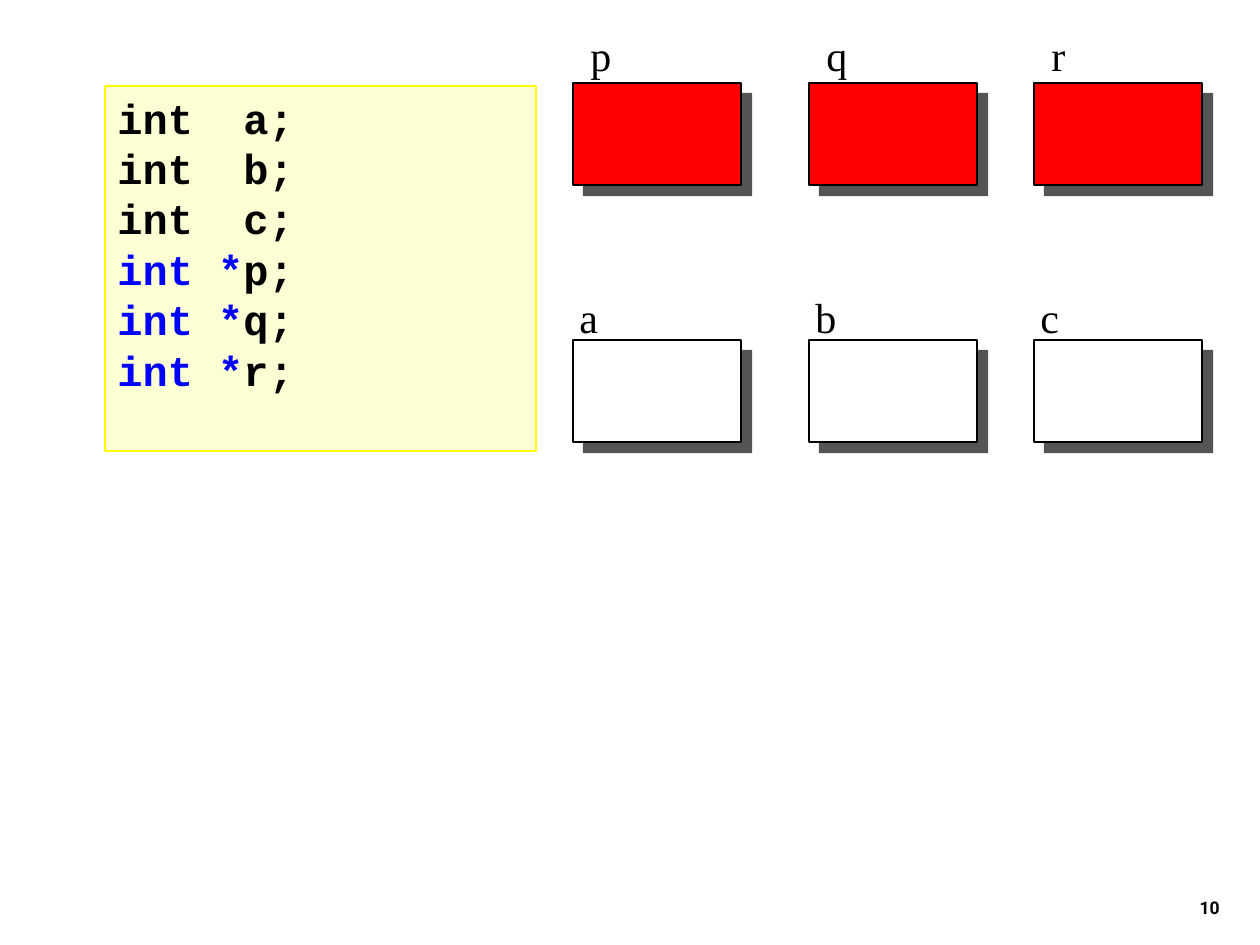
"""Builds a slide that declares three integers and three pointers."""
from lxml.etree import SubElement
from pptx import Presentation
from pptx.dml.color import RGBColor
from pptx.enum.shapes import MSO_SHAPE as Shape
from pptx.enum.text import MSO_ANCHOR as Anchor, PP_ALIGN as Align
from pptx.oxml.ns import qn
from pptx.util import Emu, Pt

BLACK = RGBColor(0x00, 0x00, 0x00)
WHITE = RGBColor(0xFF, 0xFF, 0xFF)
RED = RGBColor(0xFF, 0x00, 0x00)
BLUE = RGBColor(0x00, 0x00, 0xFF)
YELLOW = RGBColor(0xFF, 0xFF, 0x00)
CREAM = RGBColor(0xFB, 0xFF, 0xD3)
SHADOW = RGBColor(0x1C, 0x1C, 0x1C)

EMU_PER_PX = 914400 / 126
COLUMNS = (573, 809, 1034)
BOX_WIDTH, BOX_HEIGHT = 168, 102
ROWS = (
    ("abc", 340, WHITE, 285, -6),
    ("pqr", 83, RED, 23, 5),
)
CODE = (
    [("int  a;", BLACK)],
    [("int  b;", BLACK)],
    [("int  c;", BLACK)],
    [("int *", BLUE), ("p;", BLACK)],
    [("int *", BLUE), ("q;", BLACK)],
    [("int *", BLUE), ("r;", BLACK)],
)


def px(*lengths):
    return [Emu(round(length * EMU_PER_PX)) for length in lengths]


def add_run(paragraph, text, font_name, size, color=BLACK, bold=False):
    run = paragraph.add_run()
    run.text = text
    run.font.name = font_name
    run.font.size = Pt(size)
    run.font.bold = bold
    run.font.color.rgb = color


def add_rectangle(shapes, bounds, fill, line):
    shape = shapes.add_shape(Shape.RECTANGLE, *px(*bounds))
    shape.shadow.inherit = False
    shape.fill.solid()
    shape.fill.fore_color.rgb = fill
    shape.line.color.rgb = line
    shape.line.width = Pt(0.75)
    return shape


def add_drop_shadow(shape):
    effects = shape.element.spPr.find(qn("a:effectLst"))
    shadow = SubElement(effects, qn("a:outerShdw"), blurRad="0",
                        dist=str(Pt(8.5)), dir="2700000", algn="ctr", rotWithShape="0")
    color = SubElement(shadow, qn("a:srgbClr"), val=str(SHADOW))
    SubElement(color, qn("a:alpha"), val="75000")


def add_code(slide, bounds):
    shape = add_rectangle(slide.shapes, bounds, CREAM, YELLOW)
    frame = shape.text_frame
    frame.vertical_anchor = Anchor.TOP
    for index, line in enumerate(CODE):
        paragraph = frame.add_paragraph() if index else frame.paragraphs[0]
        paragraph.alignment = Align.LEFT
        for text, color in line:
            add_run(paragraph, text, "Courier New", 24, color, bold=True)


def add_variable(slide, name, left, top, fill, label_top, label_shift):
    group = slide.shapes.add_group_shape()
    label = group.shapes.add_textbox(*px(left + label_shift, label_top, 45, 63))
    label.text_frame.word_wrap = False
    add_run(label.text_frame.paragraphs[0], name, "Times New Roman", 24)
    box = add_rectangle(group.shapes, (left, top, BOX_WIDTH, BOX_HEIGHT), fill, BLACK)
    add_drop_shadow(box)


def add_page_number(slide, number, bounds):
    frame = slide.shapes.add_textbox(*px(*bounds)).text_frame
    frame.word_wrap = True
    frame.vertical_anchor = Anchor.BOTTOM
    paragraph = frame.paragraphs[0]
    paragraph.alignment = Align.RIGHT
    add_run(paragraph, number, "Roboto", 10, bold=True)


def main():
    presentation = Presentation()
    presentation.slide_width, presentation.slide_height = px(1260, 945)
    slide = presentation.slides.add_slide(presentation.slide_layouts[6])
    add_page_number(slide, "10", (970, 861, 262, 63))
    add_code(slide, (105, 86, 431, 365))
    for names, *style in ROWS:
        for name, left in zip(names, COLUMNS):
            add_variable(slide, name, left, *style)
    presentation.save("out.pptx")


if __name__ == "__main__":
    main()
